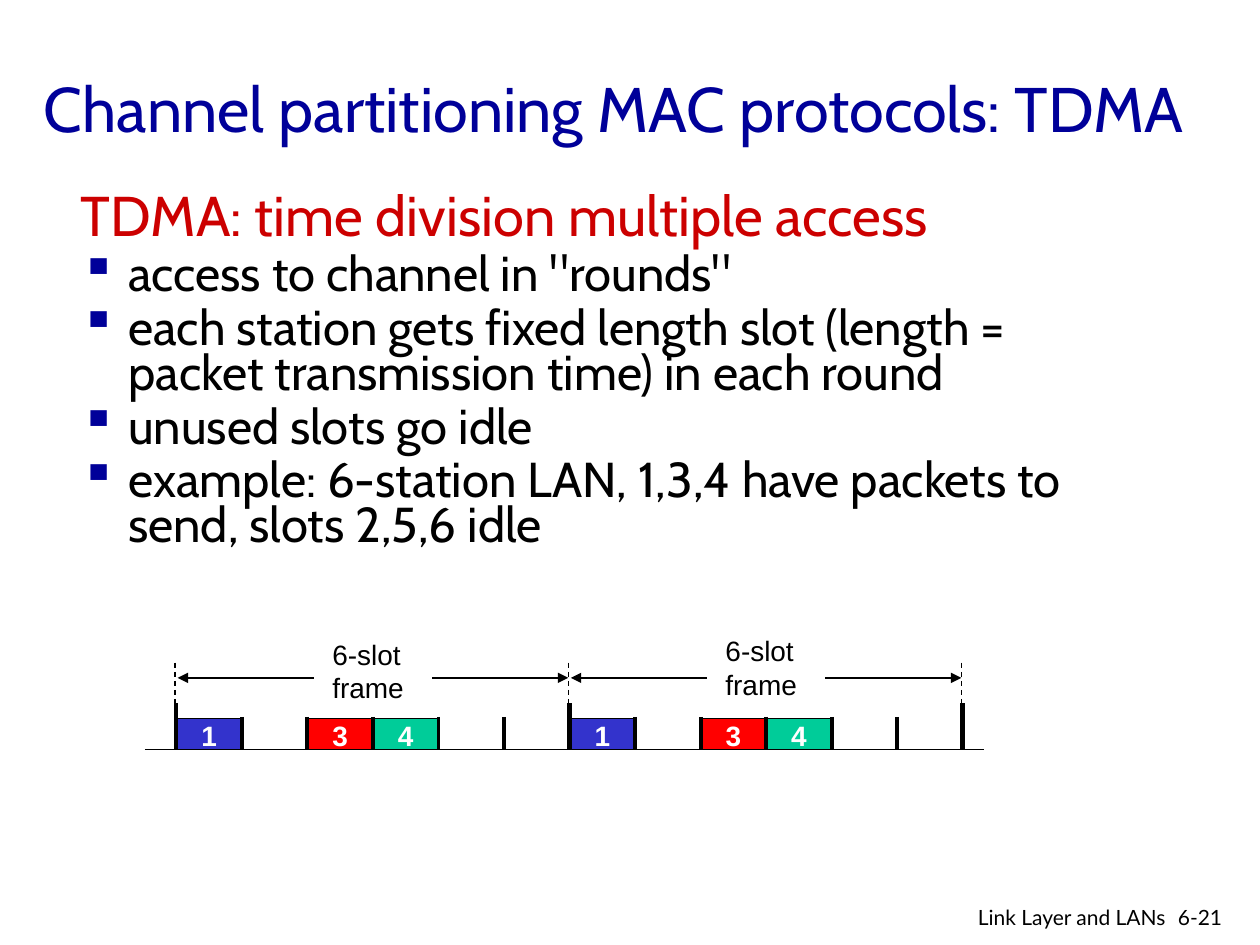
from lxml import etree
from pptx import Presentation
from pptx.dml.color import RGBColor
from pptx.enum.dml import MSO_LINE
from pptx.enum.shapes import MSO_CONNECTOR, MSO_SHAPE
from pptx.enum.text import MSO_ANCHOR, MSO_AUTO_SIZE, PP_ALIGN
from pptx.oxml.ns import qn
from pptx.util import Inches, Pt

STRAIGHT = MSO_CONNECTOR.STRAIGHT
RECT = MSO_SHAPE.RECTANGLE
DASH = MSO_LINE.DASH
TOP, MIDDLE = MSO_ANCHOR.TOP, MSO_ANCHOR.MIDDLE
FIT, FIXED = MSO_AUTO_SIZE.SHAPE_TO_FIT_TEXT, MSO_AUTO_SIZE.NONE
LEFT, RIGHT = PP_ALIGN.LEFT, PP_ALIGN.RIGHT

BLACK = RGBColor(0x00, 0x00, 0x00)
WHITE = RGBColor(0xFF, 0xFF, 0xFF)
NAVY = RGBColor(0x00, 0x00, 0x99)
CRIMSON = RGBColor(0xCC, 0x00, 0x00)
BLUE = RGBColor(0x33, 0x33, 0xCC)
RED = RGBColor(0xFF, 0x00, 0x00)
GREEN = RGBColor(0x00, 0xCC, 0x99)

prs = Presentation()
prs.slide_width, prs.slide_height = Inches(10), Inches(7.5)
slide = prs.slides.add_slide(prs.slide_layouts[6])
shapes = slide.shapes


def add_text(lines, x, y, w, h, size=16, font="Arial", color=BLACK, bold=False,
             align=LEFT, anchor=TOP, wrap=True):
    box = shapes.add_textbox(Inches(x), Inches(y), Inches(w), Inches(h))
    frame = box.text_frame
    frame.text = lines
    frame.word_wrap = wrap
    frame.auto_size = FIXED if wrap else FIT
    frame.vertical_anchor = anchor
    for para in frame.paragraphs:
        para.alignment = align
        para.font.size = Pt(size)
        para.font.name = font
        para.font.bold = bold
        para.font.color.rgb = color
    return frame


def add_line(x1, y1, x2, y2, width=0.75, dash=None, arrow=False):
    line = shapes.add_connector(STRAIGHT, Inches(x1), Inches(y1), Inches(x2), Inches(y2))
    line.line.color.rgb = BLACK
    line.line.width = Pt(width)
    if dash:
        line.line.dash_style = dash
    if arrow:
        etree.SubElement(line.line._get_or_add_ln(), qn("a:tailEnd"), type="triangle")
    etree.SubElement(line._element.spPr, qn("a:effectLst"))


# Title
add_text("Channel partitioning MAC protocols: TDMA", 0.25, 0.23, 9.44, 1.25,
         size=36, font="Cabin", color=NAVY, anchor=MIDDLE)

# Body: heading and bullets
points = [
    "TDMA: time division multiple access",
    'access to channel in "rounds"',
    "each station gets fixed length slot (length = packet transmission time) in each round",
    "unused slots go idle",
    "example: 6-station LAN, 1,3,4 have packets to send, slots 2,5,6 idle",
]
body = add_text("\n".join(points), 0.54, 1.51, 8.5, 3.2, size=28, font="Cabin")
head, *bullets = body.paragraphs
head.font.size = Pt(32)
head.font.color.rgb = CRIMSON
for para in body.paragraphs:
    para.line_spacing = 0.75
for para in bullets:
    para.space_before = Pt(5.6)
    props = para._p.get_or_add_pPr()
    props.set("marL", str(Inches(0.38)))
    props.set("indent", str(-Inches(0.38)))
    tint = etree.Element(qn("a:buClr"))
    etree.SubElement(tint, qn("a:srgbClr"), val=str(NAVY))
    mark = etree.Element(qn("a:buChar"), char="▪")
    spot = props.index(props.find(qn("a:defRPr")))
    props.insert(spot, tint)
    props.insert(spot + 1, mark)

# Time axis
START, SLOT, COUNT, BASE = 1.4, 0.52, 6, 5.95
SPAN = SLOT * COUNT
add_line(1.15, BASE, 7.81, BASE)

# Two frames: filled slots, labels and span arrows
for turn in range(2):
    left = START + turn * SPAN
    for num, color in ((1, BLUE), (3, RED), (4, GREEN)):
        x = left + (num - 1) * SLOT
        block = shapes.add_shape(RECT, Inches(x), Inches(5.7), Inches(SLOT), Inches(0.25))
        block.shadow.inherit = False
        block.fill.solid()
        block.fill.fore_color.rgb = color
        block.line.color.rgb = BLACK
        block.line.width = Pt(0.75)
        add_text(str(num), x + 0.1, 5.65, 0.32, 0.37, color=WHITE, bold=True, wrap=False)
    add_text("6-slot\nframe", left + 1.14, 5.01 - turn * 0.03, 0.77, 0.64, wrap=False)
    add_line(left + 1.09, 5.38, left + 0.01, 5.38, arrow=True)
    add_line(left + 2.03, 5.38, left + SPAN - 0.01, 5.38, arrow=True)

# Slot ticks, taller with a dashed guide at frame bounds
for tick in range(2 * COUNT + 1):
    x = START + tick * SLOT
    if tick % COUNT:
        add_line(x, 5.69, x, BASE, width=2.25)
    else:
        add_line(x, 5.58, x, BASE, width=3 if tick else 2.25)
        add_line(x - 0.01, 5.26, x - 0.01, 5.59, dash=DASH)

# Footer
add_text("6-21", 9.25, 7.13, 0.6, 0.3, size=12, font="Lato")
add_text("Link Layer and LANs", 6.97, 7.13, 2.38, 0.26, size=12, font="Lato", align=RIGHT)

prs.save("out.pptx")
